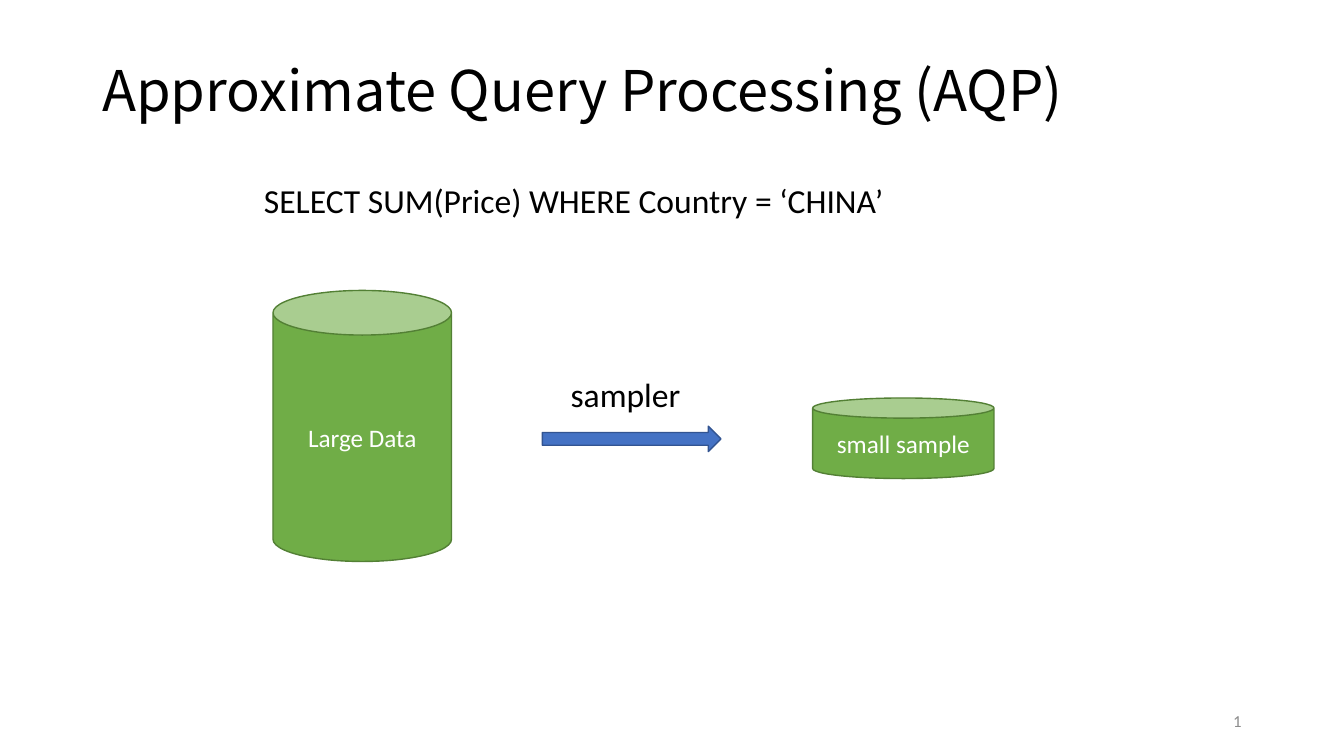
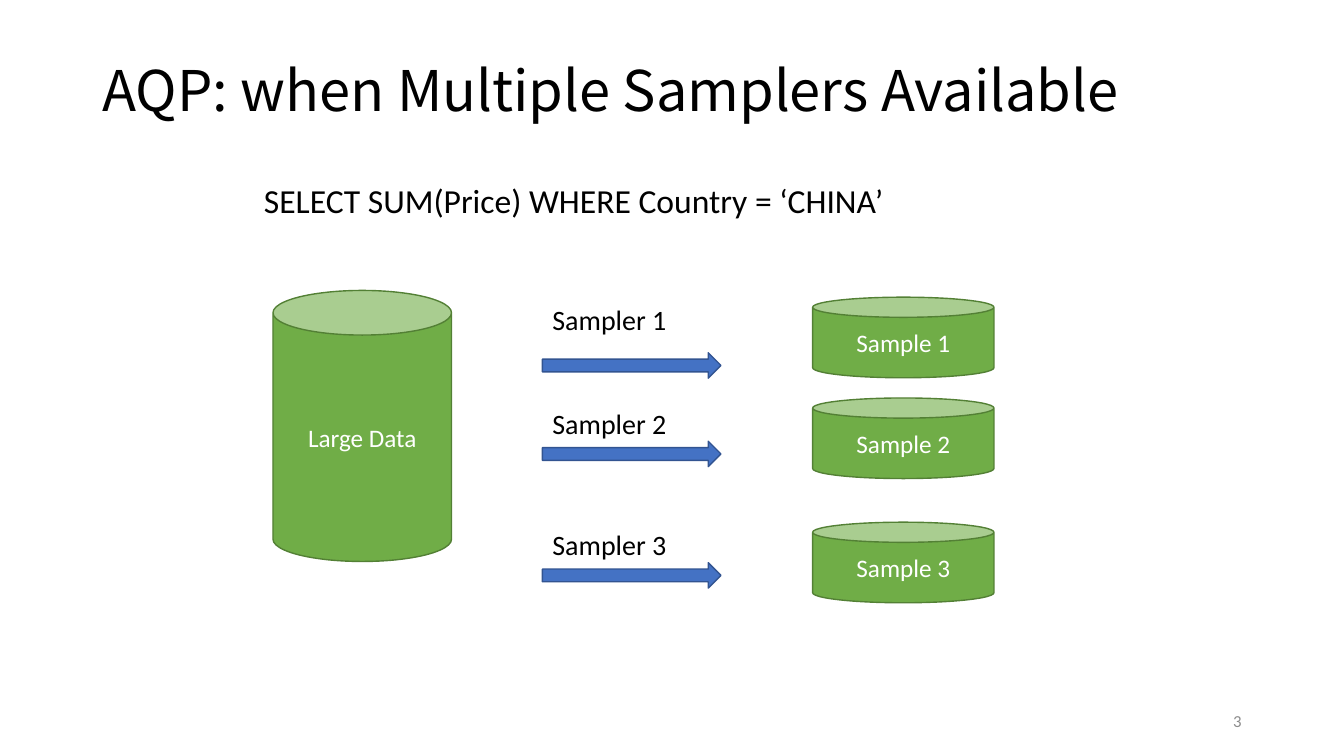
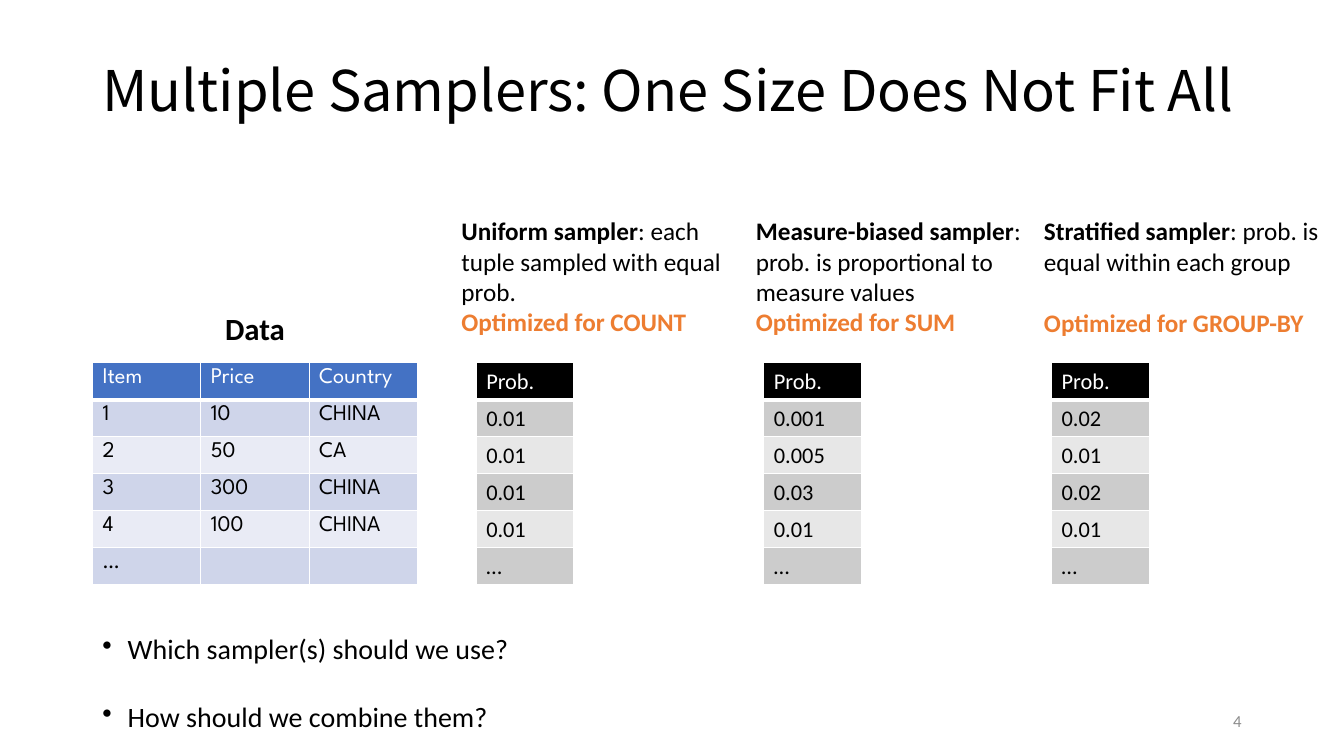
import collections

import lxml.etree
import pptx
import pptx.dml.color
import pptx.enum.shapes
import pptx.enum.text
import pptx.oxml.ns
import pptx.util

Cm = pptx.util.Cm
Pt = pptx.util.Pt
SHAPE = pptx.enum.shapes.MSO_SHAPE
ALIGN = pptx.enum.text.PP_ALIGN
ANCHOR = pptx.enum.text.MSO_ANCHOR

COLORS = {
    "text": "000000",
    "white": "FFFFFF",
    "page_number": "8C8C8C",
    "store": "70AD47",
    "store_line": "538035",
    "arrow": "4472C4",
    "arrow_line": "325491",
    "accent": "ED7D31",
    "data_header": "4472C4",
    "data_odd": "CFD5EA",
    "data_even": "E9EBF5",
    "prob_header": "000000",
    "prob_odd": "CCCCCC",
    "prob_even": "E7E7E7",
}
BODY_FONT = "Calibri"
TITLE_FONT = "Noto Sans CJK SC"
DATA_FONT = "League Spartan"

# All lengths in centimetres.
Box = collections.namedtuple("Box", "left top width height")
Sampler = collections.namedtuple(
    "Sampler", "label sample top label_drop arrow_drop label_indent label_size")

SLIDE = Box(0, 0, 33.87, 19.05)
DIAGRAM = Box(6.4, 4.42, 18.65, 10.8)
TITLE_WIDTH = 29.21
TABLE_TOP = 9.14
QUERY = "SELECT SUM(Price) WHERE Country = ‘CHINA’"


def color(name):
    return pptx.dml.color.RGBColor.from_string(COLORS[name])


def place(box):
    return [Cm(length) for length in box]


def style(para, size, color_name="text", font=BODY_FONT, bold=False, align=ALIGN.LEFT):
    para.alignment = align
    para.font.name = font
    para.font.size = Pt(size)
    para.font.bold = bold
    para.font.color.rgb = color(color_name)


def add_text(page, box, text, size, anchor=ANCHOR.TOP, **look):
    """Add a wrapping text box with one paragraph and return its frame."""
    frame = page.shapes.add_textbox(*place(box)).text_frame
    frame.word_wrap = True
    frame.vertical_anchor = anchor
    frame.paragraphs[0].text = text
    style(frame.paragraphs[0], size, **look)
    return frame


def add_page(deck, title, number, title_width=TITLE_WIDTH):
    page = deck.slides.add_slide(deck.slide_layouts[6])
    frame = add_text(page, Box(2.33, 0.86, title_width, 3), title, 40,
                     ANCHOR.MIDDLE, font=TITLE_FONT)
    frame.paragraphs[0].line_spacing = 0.9
    add_text(page, Box(23.92, 17.66, 7.62, 1.01), number, 12,
             ANCHOR.MIDDLE, color_name="page_number", align=ALIGN.RIGHT)
    return page


def add_figure(page, kind, box, fill):
    """Add a preset shape filled with a colour that has a matching line colour."""
    figure = page.shapes.add_shape(kind, *place(box))
    figure.shadow.inherit = False
    figure.fill.solid()
    figure.fill.fore_color.rgb = color(fill)
    figure.line.color.rgb = color(fill + "_line")
    figure.line.width = Pt(1)
    return figure


def add_store(page, box, label):
    frame = add_figure(page, SHAPE.CAN, box, "store").text_frame
    frame.word_wrap = True
    frame.vertical_anchor = ANCHOR.MIDDLE
    frame.paragraphs[0].text = label
    style(frame.paragraphs[0], 18, "white", align=ALIGN.CENTER)


def add_sampler_row(page, box, sampler):
    """Draw the label, the arrow and, at the right end, the resulting sample."""
    sample_width = 4.57
    add_text(page, Box(box.left + sampler.label_indent, box.top + sampler.label_drop, 4.5, 1.3),
             sampler.label, sampler.label_size)
    add_figure(page, SHAPE.RIGHT_ARROW,
               Box(box.left, box.top + sampler.arrow_drop, 4.5, 0.64), "arrow")
    add_store(page, Box(box.left + box.width - sample_width, box.top, sample_width, box.height),
              sampler.sample)


def add_sampling_diagram(page, box, samplers):
    add_text(page, Box(box.left, box.top, box.width, 1.45), QUERY, 24)
    add_store(page, Box(box.left + 0.48, box.top + 2.9, 4.5, 6.83), "Large Data")
    for sampler in samplers:
        row = Box(box.left + 7.27, box.top + sampler.top, 11.38, 2.03)
        add_sampler_row(page, row, sampler)


def set_borders(cell, bottom_width):
    properties = cell._tc.get_or_add_tcPr()
    qn = pptx.oxml.ns.qn
    for side, width in (("L", 1), ("R", 1), ("T", 1), ("B", bottom_width)):
        line = lxml.etree.SubElement(properties, qn("a:ln" + side), w=str(Pt(width)))
        fill = lxml.etree.SubElement(line, qn("a:solidFill"))
        lxml.etree.SubElement(fill, qn("a:srgbClr"), val=COLORS["white"])


def add_banded_table(page, box, rows, palette, font):
    """Fill the box with equal rows and columns; palette is a colour name prefix."""
    table = page.shapes.add_table(len(rows), len(rows[0]), *place(box)).table
    table.first_row = table.horz_banding = False
    for column in table.columns:
        column.width = Cm(box.width / len(rows[0]))
    for index, values in enumerate(rows):
        table.rows[index].height = Cm(box.height / len(rows))
        band = "header" if index == 0 else ("even", "odd")[index % 2]
        for cell, value in zip(table.rows[index].cells, values):
            set_borders(cell, 3 if index == 0 else 1)
            cell.fill.solid()
            cell.fill.fore_color.rgb = color(f"{palette}_{band}")
            if value:
                para = cell.text_frame.paragraphs[0]
                para.text = value
                style(para, 16, "white" if index == 0 else "text", font)
            else:
                cell.margin_top = cell.margin_bottom = 0


def add_data_panel(page, box, rows):
    add_text(page, Box(box.left, box.top, box.width, 1.19), "Data", 22,
             bold=True, align=ALIGN.CENTER)
    table_drop = TABLE_TOP - box.top
    add_banded_table(page, Box(box.left, TABLE_TOP, box.width, box.height - table_drop),
                     rows, "data", DATA_FONT)


def add_sampler_column(page, box, table_indent, name, rule, goal, goal_gap, probabilities):
    frame = add_text(page, Box(box.left, box.top, box.width, 3.33), name, 18)
    frame.paragraphs[0].runs[0].font.bold = True
    frame.paragraphs[0].add_run().text = ": " + rule
    para = frame.add_paragraph()
    para.text = "Optimized for " + goal
    para.space_before = Pt(goal_gap)
    style(para, 18, "accent", bold=True)
    rows = [[value] for value in ("Prob.", *probabilities, "…")]
    table_box = Box(box.left + table_indent, TABLE_TOP, 2.46, box.top + box.height - TABLE_TOP)
    add_banded_table(page, table_box, rows, "prob", BODY_FONT)


def add_questions(page, box, questions):
    frame = page.shapes.add_textbox(*place(box)).text_frame
    frame.word_wrap = True
    for index, (question, spacing) in enumerate(questions):
        para = frame.add_paragraph() if index else frame.paragraphs[0]
        para.text = question
        properties = para._p.get_or_add_pPr()
        properties.set("marL", str(Cm(0.64)))
        properties.set("indent", str(-Cm(0.64)))
        lxml.etree.SubElement(properties, pptx.oxml.ns.qn("a:buChar"), char="•")
        para.line_spacing = spacing
        para.space_before = Pt(10)
        style(para, 20)


def build_single_sampler(deck):
    page = add_page(deck, "Approximate Query Processing (AQP)", "1")
    add_sampling_diagram(page, DIAGRAM, [
        Sampler("sampler", "small sample", 5.61, -0.74, 0.71, 0.46, 24)])


def build_multiple_samplers(deck):
    page = add_page(deck, "AQP: when Multiple Samplers Available", "3")
    add_sampling_diagram(page, DIAGRAM, [
        Sampler("Sampler 1", "Sample 1", 3.07, 0, 1.4, 0, 20),
        Sampler("Sampler 2", "Sample 2", 5.61, 0.1, 1.09, 0, 20),
        Sampler("Sampler 3", "Sample 3", 8.74, 0, 1.02, 0, 20)])


def build_comparison(deck):
    page = add_page(deck, "Multiple Samplers: One Size Does Not Fit All", "4", 30.68)
    add_data_panel(page, Box(2.33, 7.67, 8.19, 6.65), [
        ("Item", "Price", "Country"),
        ("1", "10", "CHINA"),
        ("2", "50", "CA"),
        ("3", "300", "CHINA"),
        ("4", "100", "CHINA"),
        ("…", "", "")])
    columns = [
        (11.38, 7.42, 0.62, "Uniform sampler", "each tuple sampled with equal prob.",
         "COUNT", 0, ("0.01", "0.01", "0.01", "0.01")),
        (18.8, 7.29, 0.45, "Measure-biased sampler",
         "prob. is proportional to measure values",
         "SUM", 0, ("0.001", "0.005", "0.03", "0.01")),
        (26.06, 7.45, 0.44, "Stratified sampler", "prob. is equal within each group",
         "GROUP-BY", 22, ("0.02", "0.01", "0.02", "0.01")),
    ]
    for left, width, *content in columns:
        add_sampler_column(page, Box(left, 5.31, width, 9.42), *content)
    add_questions(page, Box(2.33, 15.88, 28.8, 3), [
        ("Which sampler(s) should we use?", 0.9),
        ("How should we combine them?", 1.6)])


def main():
    deck = pptx.Presentation()
    deck.slide_width = Cm(SLIDE.width)
    deck.slide_height = Cm(SLIDE.height)
    build_single_sampler(deck)
    build_multiple_samplers(deck)
    build_comparison(deck)
    deck.save("out.pptx")


if __name__ == "__main__":
    main()
